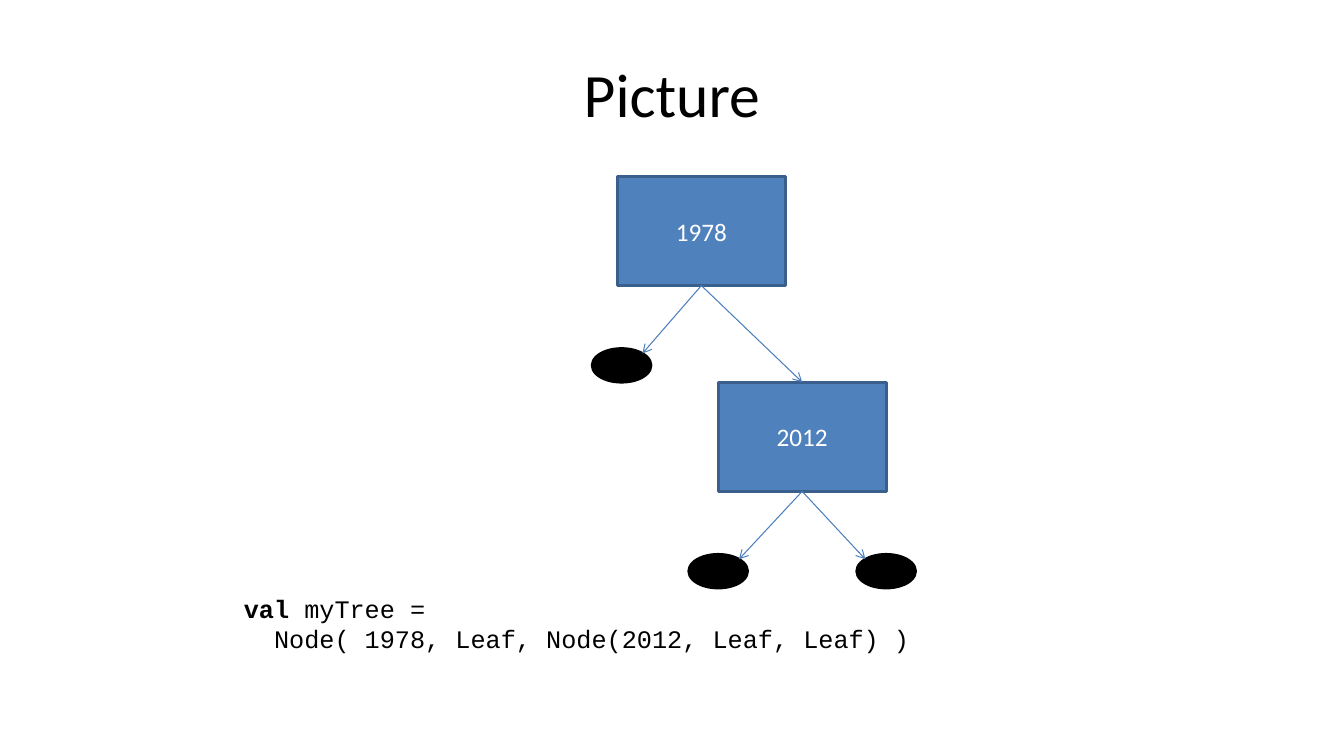
from lxml.etree import SubElement
from pptx import Presentation
from pptx.dml.color import RGBColor
from pptx.enum.shapes import MSO_CONNECTOR as Connector, MSO_SHAPE as Preset
from pptx.enum.text import MSO_ANCHOR as Anchor, PP_ALIGN as Align
from pptx.oxml.ns import qn
from pptx.util import Inches, Pt
from math import sqrt

COLUMNS, ROWS = 160, 90
NODE_SIZE = (20, 13)
LEAF_SIZE = (7, 4)


def color(hex_string):
    return RGBColor.from_string(hex_string)


class TreeSlide:
    """Style and current slide; lengths are cells of a 160 by 90 grid."""

    CELL = Inches(7.5) / ROWS
    FONT, CODE_FONT = "Calibri", "Courier New"
    BLACK, WHITE = "000000", "FFFFFF"
    NODE_FILL, NODE_LINE, ARROW = "4F81BD", "3A5F8C", "4B7EBC"

    def __init__(self, presentation):
        presentation.slide_width = self.cells(COLUMNS)
        presentation.slide_height = self.cells(ROWS)
        self.slide = presentation.slides.add_slide(presentation.slide_layouts[6])

    def cells(self, count):
        return round(count * self.CELL)

    def style_runs(self, paragraph, size, font, hex_string):
        for run in paragraph.runs:
            run.font.size = Pt(size)
            run.font.name = font
            run.font.color.rgb = color(hex_string)

    def title(self, text, *box):
        shape = self.slide.shapes.add_textbox(*map(self.cells, box))
        frame = shape.text_frame
        frame.word_wrap = True
        frame.vertical_anchor = Anchor.MIDDLE
        frame.text = text
        paragraph = frame.paragraphs[0]
        paragraph.alignment = Align.CENTER
        self.style_runs(paragraph, 44, self.FONT, self.BLACK)

    def block(self, preset, center, size, fill, line):
        """Add a filled shape around its center."""
        corner = [middle - length / 2 for middle, length in zip(center, size)]
        shape = self.slide.shapes.add_shape(preset, *map(self.cells, (*corner, *size)))
        shape.shadow.inherit = False
        shape.fill.solid()
        shape.fill.fore_color.rgb = color(fill)
        shape.line.color.rgb = color(line)
        shape.line.width = Pt(2)
        return shape

    def node(self, text, *center):
        shape = self.block(Preset.RECTANGLE, center, NODE_SIZE, self.NODE_FILL, self.NODE_LINE)
        frame = shape.text_frame
        frame.vertical_anchor = Anchor.MIDDLE
        frame.text = text
        paragraph = frame.paragraphs[0]
        paragraph.alignment = Align.CENTER
        self.style_runs(paragraph, 18, self.FONT, self.WHITE)
        return shape

    def leaf(self, *center):
        return self.block(Preset.OVAL, center, LEAF_SIZE, self.BLACK, self.BLACK)

    def arrow(self, parent, end_x, end_y):
        """Add an arrow from the bottom of a parent node to a point."""
        connector = self.slide.shapes.add_connector(
            Connector.STRAIGHT, 0, 0, round(end_x), round(end_y))
        connector.begin_connect(parent, 2)
        connector.line.color.rgb = color(self.ARROW)
        connector.line.width = Pt(0.75)
        SubElement(connector.line._get_or_add_ln(), qn("a:tailEnd"), type="arrow")
        SubElement(connector._element.spPr, qn("a:effectLst"))
        return connector

    def node_arrow(self, parent, child):
        self.arrow(parent, child.left, child.top).end_connect(child, 0)

    def leaf_arrow(self, parent, leaf):
        """Add an arrow to the diagonal point of a leaf that faces its parent."""
        middle_x = leaf.left + leaf.width / 2
        middle_y = leaf.top + leaf.height / 2
        side = 1 if parent.left + parent.width / 2 > middle_x else -1
        self.arrow(parent, middle_x + side * leaf.width / sqrt(8),
                   middle_y - leaf.height / sqrt(8))

    def code(self, keyword, first_line, second_line, *box):
        shape = self.slide.shapes.add_textbox(*map(self.cells, box))
        frame = shape.text_frame
        frame.word_wrap = False
        first, second = frame.paragraphs[0], frame.add_paragraph()
        first.text = keyword
        first.runs[0].font.bold = True
        first.add_run().text = first_line
        second.text = second_line
        second._p.get_or_add_pPr().set("marL", str(Inches(0.3)))
        for paragraph in (first, second):
            self.style_runs(paragraph, 18, self.CODE_FONT, self.BLACK)


def main():
    presentation = Presentation()
    tree = TreeSlide(presentation)
    tree.title("Picture", 8, 3.6, 144, 15)
    root = tree.node("1978", 83.5, 27.5)
    child = tree.node("2012", 95.5, 52)
    tree.node_arrow(root, child)
    for parent, x, y in ((root, 74, 43.5), (child, 85.5, 68), (child, 105.5, 68)):
        tree.leaf_arrow(parent, tree.leaf(x, y))
    tree.code("val ", "myTree =", "Node( 1978, Leaf, Node(2012, Leaf, Leaf) )",
              27.84, 70, 82, 12)
    presentation.save("out.pptx")


if __name__ == "__main__":
    main()
